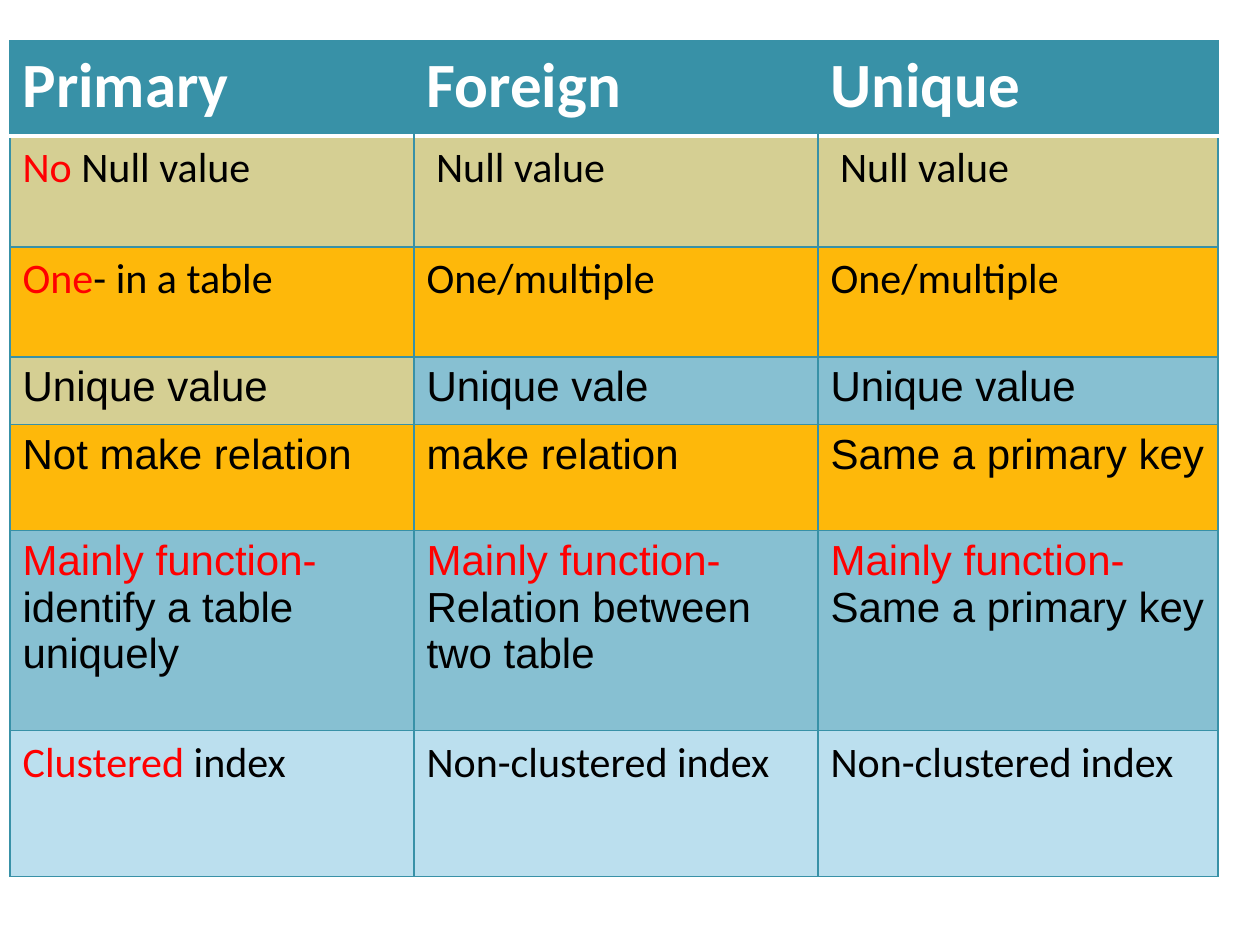
from dataclasses import dataclass
from typing import NamedTuple

from lxml.etree import SubElement
from pptx import Presentation
from pptx.dml.color import RGBColor
from pptx.oxml.ns import qn
from pptx.util import Emu, Pt

PX = 914400 / 126


@dataclass(frozen=True)
class Theme:
    teal: str = "3891A7"
    white: str = "FFFFFF"
    black: str = "000000"
    red: str = "FF0000"
    amber: str = "FEB80A"
    sand: str = "D5CF93"
    blue: str = "87C0D2"
    pale: str = "BBDFEE"
    sans: str = "Calibri"
    plain: str = "Arial"
    header_size: int = 36
    body_size: int = 24
    rule: float = 0.75
    header_rule: float = 2


THEME = Theme()


class Entry(NamedTuple):
    text: str
    accent: str = ""


class Row(NamedTuple):
    height: int
    fills: tuple[str, str, str]
    font: str
    entries: tuple[Entry, Entry, Entry]


class Edge(NamedTuple):
    tag: str
    color: str | None
    width: float = THEME.rule


COLUMNS = (404, 404, 400)
ROWS = (
    Row(95, (THEME.teal,) * 3, THEME.sans,
        (Entry("Primary"), Entry("Foreign"), Entry("Unique"))),
    Row(111, (THEME.sand,) * 3, THEME.sans,
        (Entry(" Null value", "No"), Entry(" Null value"), Entry(" Null value"))),
    Row(110, (THEME.amber,) * 3, THEME.sans,
        (Entry("- in a table", "One"), Entry("One/multiple"), Entry("One/multiple"))),
    Row(68, (THEME.sand, THEME.blue, THEME.blue), THEME.plain,
        (Entry("Unique value"), Entry("Unique vale"), Entry("Unique value"))),
    Row(106, (THEME.amber,) * 3, THEME.plain,
        (Entry("Not make relation"), Entry("make relation"), Entry("Same a primary key"))),
    Row(200, (THEME.blue,) * 3, THEME.plain,
        (Entry("identify a table uniquely", "Mainly function-"),
         Entry("Relation between two table", "Mainly function-"),
         Entry("Same a primary key", "Mainly function-"))),
    Row(146, (THEME.pale,) * 3, THEME.sans,
        (Entry(" index", "Clustered"), Entry("Non-clustered index"),
         Entry("Non-clustered index"))),
)


def px(length: int) -> Emu:
    return Emu(round(length * PX))


def add_span(para, text: str, color: str, font: str, header: bool) -> None:
    span = para.add_run()
    span.text = text
    span.font.name = font
    span.font.size = Pt(THEME.header_size if header else THEME.body_size)
    span.font.bold = header
    span.font.color.rgb = RGBColor.from_string(color)


def cell_edges(row: int, column: int) -> list[Edge]:
    """Teal rules all round, none inside the header and a white one below it."""
    header = row == 0
    white_rule = (THEME.white, THEME.header_rule)
    return [
        Edge("a:lnL", None if header and column > 0 else THEME.teal),
        Edge("a:lnR", None if header and column < len(COLUMNS) - 1 else THEME.teal),
        Edge("a:lnT", *white_rule) if row == 1 else Edge("a:lnT", THEME.teal),
        Edge("a:lnB", *white_rule) if header else Edge("a:lnB", THEME.teal),
    ]


def draw_edges(cell, edges: list[Edge]) -> None:
    properties = cell._tc.get_or_add_tcPr()
    for index, edge in enumerate(edges):
        line = SubElement(properties, qn(edge.tag), w=str(Pt(edge.width)))
        if edge.color is None:
            SubElement(line, qn("a:noFill"))
        else:
            fill = SubElement(line, qn("a:solidFill"))
            SubElement(fill, qn("a:srgbClr"), val=edge.color)
        properties.insert(index, line)


def draw_cell(cell, row_index: int, column: int) -> None:
    row = ROWS[row_index]
    entry = row.entries[column]
    header = row_index == 0
    cell.fill.solid()
    cell.fill.fore_color.rgb = RGBColor.from_string(row.fills[column])
    draw_edges(cell, cell_edges(row_index, column))
    para = cell.text_frame.paragraphs[0]
    if entry.accent:
        add_span(para, entry.accent, THEME.red, row.font, header)
    add_span(para, entry.text, THEME.white if header else THEME.black, row.font, header)


def draw_key_table(page) -> None:
    height = sum(row.height for row in ROWS)
    table = page.shapes.add_table(
        len(ROWS), len(COLUMNS), px(10), px(41), px(sum(COLUMNS)), px(height)
    ).table
    table.horz_banding = False
    for index, width in enumerate(COLUMNS):
        table.columns[index].width = px(width)
    for row_index, row in enumerate(ROWS):
        table.rows[row_index].height = px(row.height)
        for column in range(len(COLUMNS)):
            draw_cell(table.cell(row_index, column), row_index, column)


def main() -> None:
    deck = Presentation()
    deck.slide_width, deck.slide_height = px(1260), px(945)
    page = deck.slides.add_slide(deck.slide_layouts[6])
    draw_key_table(page)
    deck.save("out.pptx")


if __name__ == "__main__":
    main()
